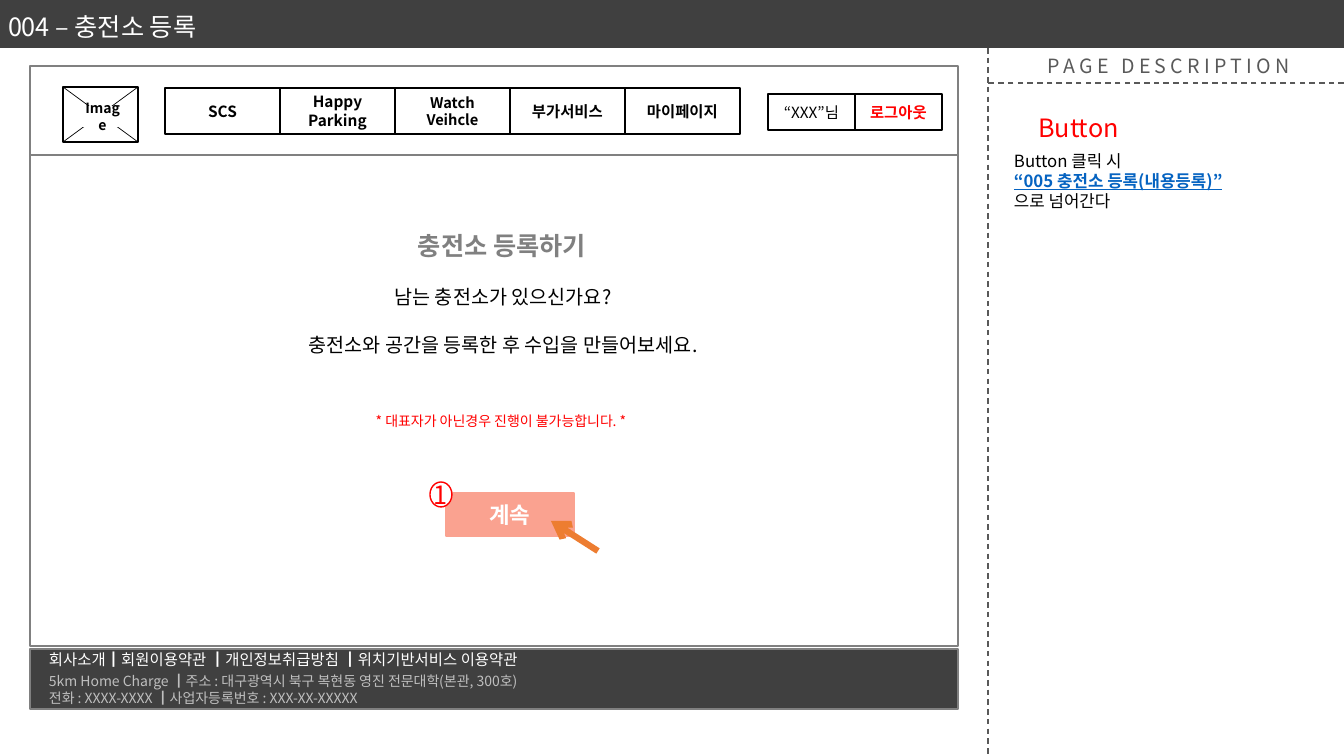
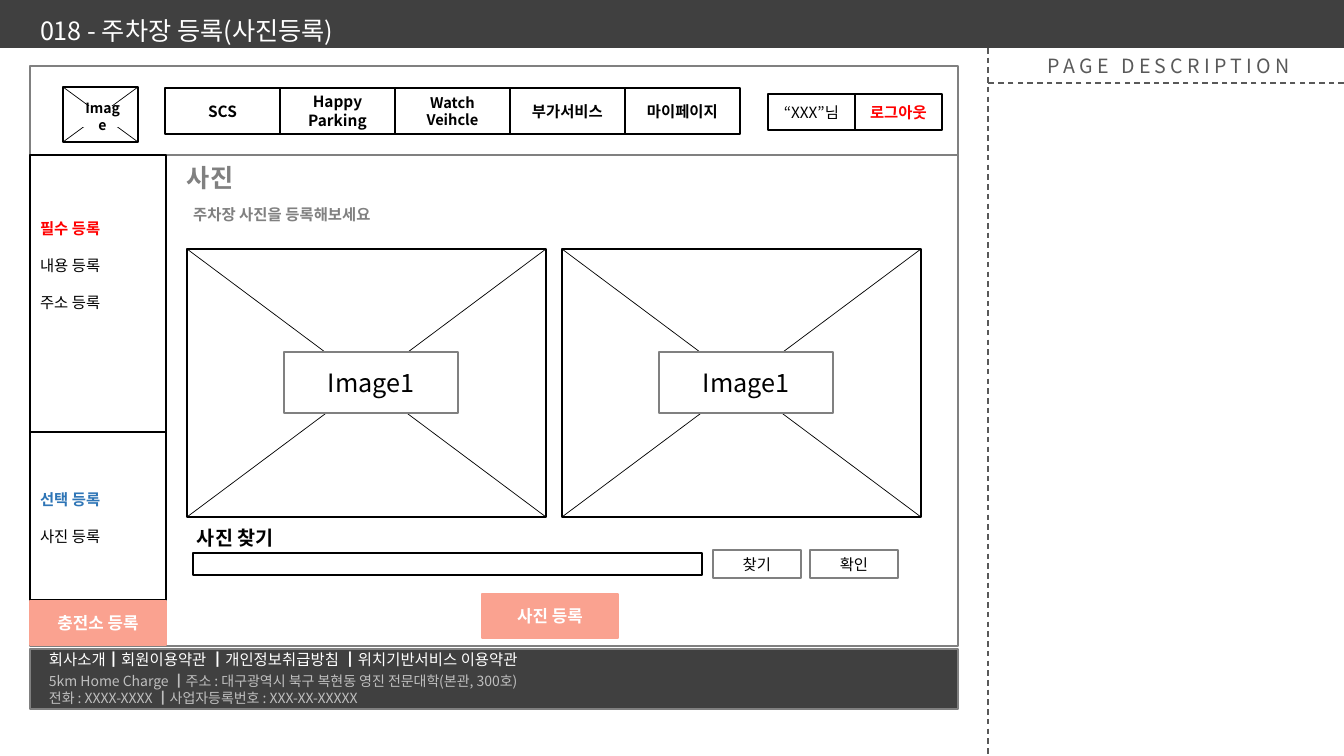
import dataclasses

import lxml.etree
import pptx
import pptx.dml.color
import pptx.enum.dml
import pptx.enum.shapes
import pptx.enum.text
import pptx.oxml.ns
import pptx.util

SLIDE_W, SLIDE_H = 1344, 756
EMU_PER_PX = 12192000 / SLIDE_W
FONT = "Noto Sans CJK KR"
LINE_HEIGHT = 1.2

WHITE, BLACK, RED = "FFFFFF", "000000", "FF0000"
DARK, GRAY, DASH_GRAY, LIGHT_GRAY = "404040", "808080", "595959", "BFBFBF"
SALMON, ORANGE, LINK_BLUE, MENU_BLUE = "FAA290", "ED7D31", "0563C1", "2E75B6"

SHAPE = pptx.enum.shapes.MSO_SHAPE
TOP = pptx.enum.text.MSO_ANCHOR.TOP
MIDDLE = pptx.enum.text.MSO_ANCHOR.MIDDLE
LEFT = pptx.enum.text.PP_ALIGN.LEFT
CENTER = pptx.enum.text.PP_ALIGN.CENTER


@dataclasses.dataclass(frozen=True)
class Box:
    x: int
    y: int
    w: int
    h: int

    def within(self, dx, dy, w, h):
        """Box of the given size, offset from this box's top left corner."""
        return Box(self.x + dx, self.y + dy, w, h)

    def emu(self):
        return [px(length) for length in (self.x, self.y, self.w, self.h)]


@dataclasses.dataclass(frozen=True)
class Style:
    size: float
    color: str = BLACK
    bold: bool = False
    underline: bool = False
    latin: str = FONT
    tracking: int = 0


TITLE_BAND = Box(0, 0, SLIDE_W, 48)
SITE = Box(30, 66, 928, 643)
CONTENT = SITE.within(0, 89, 928, 491)
DESCRIPTION = Box(988, 48, 356, 708)


def px(length):
    return round(length * EMU_PER_PX)


def rgb(color):
    return pptx.dml.color.RGBColor.from_string(color)


def write(frame, lines, align=CENTER, anchor=MIDDLE, gap=0, margins=(10, 5, 10, 5)):
    """Write (text, Style) lines as paragraphs, gap points apart."""
    frame.word_wrap = True
    frame.auto_size = pptx.enum.text.MSO_AUTO_SIZE.NONE
    frame.vertical_anchor = anchor
    (frame.margin_left, frame.margin_top,
     frame.margin_right, frame.margin_bottom) = map(px, margins)
    for index, (text, style) in enumerate(lines):
        paragraph = frame.paragraphs[0] if index == 0 else frame.add_paragraph()
        paragraph.alignment = align
        paragraph.line_spacing = pptx.util.Pt(round(style.size * LINE_HEIGHT, 1))
        if index and gap:
            paragraph.space_before = pptx.util.Pt(gap)
        run = paragraph.add_run()
        run.text = text
        font = run.font
        font.name = style.latin
        font.size = pptx.util.Pt(style.size)
        font.bold = style.bold
        font.underline = style.underline
        font.color.rgb = rgb(style.color)
        properties = run._r.get_or_add_rPr()
        east_asian = lxml.etree.Element(pptx.oxml.ns.qn("a:ea"), typeface=FONT)
        properties.find(pptx.oxml.ns.qn("a:latin")).addnext(east_asian)
        if style.tracking:
            properties.set("spc", str(style.tracking * 100))


def add_text(slide, box, lines, **layout):
    write(slide.shapes.add_textbox(*box.emu()).text_frame, lines, **layout)


def add_box(slide, box, fill=WHITE, line=BLACK, lines=(), preset=SHAPE.RECTANGLE, **layout):
    shape = slide.shapes.add_shape(preset, *box.emu())
    shape.shadow.inherit = False
    if fill:
        shape.fill.solid()
        shape.fill.fore_color.rgb = rgb(fill)
    else:
        shape.fill.background()
    shape.line.color.rgb = rgb(line)
    shape.line.width = pptx.util.Pt(1)
    if lines:
        write(shape.text_frame, lines, **layout)


def add_line(slide, start, end, color, width, dashed=False, arrow=False):
    connector = slide.shapes.add_connector(
        pptx.enum.shapes.MSO_CONNECTOR.STRAIGHT, *map(px, (*start, *end)))
    connector.line.color.rgb = rgb(color)
    connector.line.width = pptx.util.Pt(width)
    if dashed:
        connector.line.dash_style = pptx.enum.dml.MSO_LINE.DASH
    if arrow:
        lxml.etree.SubElement(connector.line._get_or_add_ln(),
                              pptx.oxml.ns.qn("a:tailEnd"), type="arrow")
    lxml.etree.SubElement(connector._element.spPr, pptx.oxml.ns.qn("a:effectLst"))


def add_title_band(slide, box, title, margins):
    band = slide.shapes.title
    band.left, band.top, band.width, band.height = box.emu()
    band.fill.solid()
    band.fill.fore_color.rgb = rgb(DARK)
    write(band.text_frame, [(title, Style(18, WHITE))], align=LEFT, margins=margins)


def add_image_frame(slide, box, label_box, label, style, label_line):
    """Crossed-out frame that stands for an image, with a label over the cross."""
    right, bottom = box.x + box.w, box.y + box.h
    add_box(slide, box)
    add_line(slide, (box.x, box.y), (right, bottom), BLACK, 0.5)
    add_line(slide, (right, box.y), (box.x, bottom), BLACK, 0.5)
    add_box(slide, label_box, line=label_line, lines=[(label, style)])


def add_cells(slide, first, cells, fill):
    """Row of touching boxes, starting at the first one."""
    for index, lines in enumerate(cells):
        add_box(slide, first.within(index * first.w, 0, first.w, first.h), fill, lines=lines)


def add_site_header(slide, box):
    add_box(slide, box, line=GRAY)
    logo = box.within(33, 21, 75, 55)
    add_image_frame(slide, logo, logo.within(9, 20, 61, 19), "Image",
                    Style(10, bold=True), WHITE)
    menu, small_menu = Style(11, bold=True), Style(10.5, bold=True)
    add_cells(slide, box.within(135, 22, 115, 46), [
        [("SCS", menu)],
        [("Happy Parking", menu)],
        [("Watch", small_menu), ("Veihcle", small_menu)],
        [("부가서비스", menu)],
        [("마이페이지", menu)],
    ], fill=None)
    add_cells(slide, box.within(738, 28, 87, 36), [
        [("“XXX”님", Style(11))],
        [("로그아웃", Style(11, RED, bold=True))],
    ], fill=WHITE)


def add_site_footer(slide, box):
    add_box(slide, box, DARK, GRAY)
    add_text(slide, box.within(9, -4, 616, 29), [
        ("회사소개┃회원이용약관 ┃개인정보취급방침 ┃위치기반서비스 이용약관", Style(11, WHITE)),
    ], align=LEFT, anchor=TOP)
    address = Style(10, LIGHT_GRAY)
    add_text(slide, box.within(9, 19, 886, 41), [
        ("5km Home Charge ┃주소 : 대구광역시 북구 복현동 영진 전문대학(본관, 300호)", address),
        ("전화 : XXXX-XXXX ┃사업자등록번호 : XXX-XX-XXXXX", address),
    ], align=LEFT, anchor=TOP)


def add_description_panel(slide, box):
    add_line(slide, (box.x, box.y), (box.x, box.y + box.h), DASH_GRAY, 1, dashed=True)
    add_line(slide, (box.x + box.w, box.y + 35), (box.x, box.y + 35), DASH_GRAY, 1, dashed=True)
    add_text(slide, box.within(50, 1, 275, 34),
             [("PAGE DESCRIPTION", Style(14, DASH_GRAY, tracking=3))],
             align=LEFT, anchor=TOP)


def add_page(deck, title, title_margins):
    """Slide with the title band, the empty site frame and the description panel."""
    slide = deck.slides.add_slide(deck.slide_layouts.get_by_name("Title Only"))
    add_title_band(slide, TITLE_BAND, title, title_margins)
    add_site_header(slide, SITE.within(0, 0, SITE.w, 89))
    add_box(slide, CONTENT, line=GRAY)
    add_site_footer(slide, SITE.within(0, 583, SITE.w, 60))
    add_description_panel(slide, DESCRIPTION)
    return slide


def add_salmon_button(slide, box, label, size):
    add_box(slide, box, SALMON, SALMON, [(label, Style(size, WHITE, bold=True))])


def add_station_intro(slide, box):
    add_text(slide, box.within(298, 67, 348, 46),
             [("충전소 등록하기", Style(18, GRAY, bold=True, latin="Courier New"))])
    add_text(slide, box.within(182, 128, 582, 76), [
        ("남는 충전소가 있으신가요?", Style(14)),
        ("충전소와 공간을 등록한 후 수입을 만들어보세요.", Style(14)),
    ], gap=17.5)
    add_text(slide, box.within(290, 252, 362, 27),
             [("* 대표자가 아닌경우 진행이 불가능합니다. *", Style(10, RED))])
    add_salmon_button(slide, box.within(416, 338, 128, 43), "계속", 16)
    add_line(slide, (box.x + 568, box.y + 396), (box.x + 521, box.y + 366),
             ORANGE, 4.5, arrow=True)
    add_box(slide, box.within(400, 327, 22, 25), line=RED, lines=[("1", Style(18, RED))],
            preset=SHAPE.OVAL, margins=(0, 0, 0, 0))


def add_button_note(slide, box):
    add_text(slide, box.within(3, 58, 175, 42), [("Button", Style(18, RED))])
    add_text(slide, box.within(16, 87, 308, 91), [
        ("Button 클릭 시", Style(12)),
        ("“005 충전소 등록(내용등록)”", Style(12, LINK_BLUE, bold=True, underline=True)),
        ("으로 넘어간다", Style(12)),
    ], align=LEFT)


def add_sidebar(slide, box):
    sections = [
        (0, 277, 64, "필수 등록", RED, ["내용 등록", "주소 등록"]),
        (277, 168, 58, "선택 등록", MENU_BLUE, ["사진 등록"]),
    ]
    for top, height, inset, heading, color, entries in sections:
        lines = [(heading, Style(11, color, bold=True))]
        lines += [(entry, Style(11)) for entry in entries]
        add_box(slide, box.within(0, top, box.w, height), lines=lines, align=LEFT,
                anchor=TOP, gap=13.2, margins=(10, inset, 10, 5))
    add_salmon_button(slide, box.within(0, 446, box.w, 44), "충전소 등록", 12)


def add_photo_form(slide, box):
    add_text(slide, box.within(-28, 2, 144, 41), [("사진", Style(18, GRAY, bold=True))])
    add_text(slide, box.within(-1, 41, 234, 36),
             [("주차장 사진을 등록해보세요", Style(11, GRAY, bold=True))])
    for column in range(2):
        photo = box.within(21 + column * 375, 94, 359, 268)
        add_image_frame(slide, photo, photo.within(97, 103, 174, 61), "Image1",
                        Style(18), GRAY)
    add_text(slide, box.within(21, 367, 241, 31),
             [("사진 찾기", Style(14, bold=True))], align=LEFT)
    add_box(slide, box.within(27, 398, 509, 22))
    for column, label in enumerate(["찾기", "확인"]):
        add_box(slide, box.within(547 + column * 97, 395, 88, 28), line=GRAY,
                lines=[(label, Style(11))])
    add_salmon_button(slide, box.within(316, 439, 136, 44), "사진 등록", 12)


def main():
    deck = pptx.Presentation()
    deck.slide_width, deck.slide_height = px(SLIDE_W), px(SLIDE_H)

    station = add_page(deck, "004 – 충전소 등록", (8, 4, 10, 0))
    add_station_intro(station, CONTENT)
    add_button_note(station, DESCRIPTION)

    parking = add_page(deck, "018 - 주차장 등록(사진등록)", (40, 12, 10, 0))
    add_sidebar(parking, CONTENT.within(0, 0, 136, 490))
    add_photo_form(parking, CONTENT.within(136, 0, 792, 490))

    deck.save("out.pptx")


if __name__ == "__main__":
    main()
